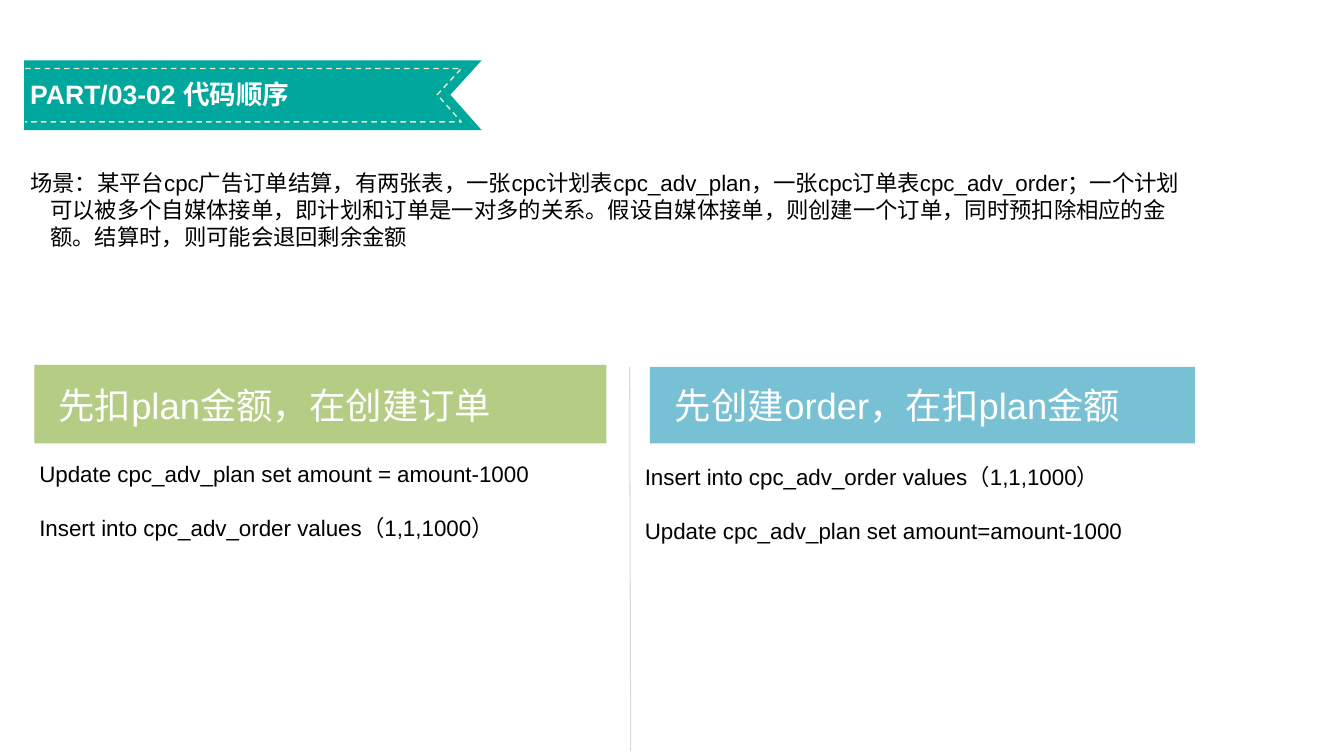
from lxml import etree
from pptx import Presentation
from pptx.dml.color import RGBColor
from pptx.enum.dml import MSO_LINE
from pptx.enum.shapes import MSO_CONNECTOR, MSO_SHAPE
from pptx.oxml.ns import qn
from pptx.util import Inches, Pt

DASH = MSO_LINE.DASH
STRAIGHT = MSO_CONNECTOR.STRAIGHT
RECTANGLE = MSO_SHAPE.RECTANGLE

COLORS = {
    "ribbon": "00A79D", "stitch": "EDE8C7", "divider": "D9D9D9",
    "green": "B4CC83", "blue": "78C1D4", "white": "FFFFFF", "black": "000000",
}
FONT = "Arial"
HANGING = 0.2

TITLE = "PART/03-02 代码顺序"
SCENARIO = (
    "场景：某平台cpc广告订单结算，有两张表，一张cpc计划表cpc_adv_plan，"
    "一张cpc订单表cpc_adv_order；一个计划可以被多个自媒体接单，"
    "即计划和订单是一对多的关系。假设自媒体接单，则创建一个订单，"
    "同时预扣除相应的金额。结算时，则可能会退回剩余金额"
)
# Boxes are left, top, width, height in inches.
COLUMNS = [
    {
        "heading": "先扣plan金额，在创建订单", "color": "green",
        "banner": (0.34, 3.62, 5.68, 0.78), "heading_box": (0.53, 3.75, 4.8, 0.54),
        "code": ["Update cpc_adv_plan set amount = amount-1000",
                 "Insert into cpc_adv_order values（1,1,1000）"],
        "code_box": (0.34, 4.52, 5.92, 0.9),
    },
    {
        "heading": "先创建order，在扣plan金额", "color": "blue",
        "banner": (6.45, 3.64, 5.41, 0.76), "heading_box": (6.65, 3.75, 5.13, 0.54),
        "code": ["Insert into cpc_adv_order values（1,1,1000）",
                 "Update cpc_adv_plan set amount=amount-1000"],
        "code_box": (6.35, 4.55, 6.35, 0.9),
    },
]
RIBBON = [(4.78, 1.29), (0.24, 1.29), (0.24, 0.6), (4.78, 0.6), (4.47, 0.94)]
STITCH = [(0.25, 0.68), (4.58, 0.68), (4.34, 0.94), (4.58, 1.21), (0.25, 1.21)]


def rgb(name):
    return RGBColor.from_string(COLORS[name])


def add_text(page, lines, area, size=16, color="black", bold=False, hanging=0, gap=0):
    box = page.shapes.add_textbox(*map(Inches, area))
    frame = box.text_frame
    frame.word_wrap = True
    frame.margin_left = frame.margin_right = Inches(0.05)
    frame.margin_top = frame.margin_bottom = Inches(0.05)
    for index, line in enumerate(lines):
        para = frame.paragraphs[0] if index == 0 else frame.add_paragraph()
        if index:
            para.space_before = Pt(gap)
        if hanging:
            properties = para._p.get_or_add_pPr()
            properties.set("marL", str(Inches(hanging)))
            properties.set("indent", str(-Inches(hanging)))
        span = para.add_run()
        span.text = line
        span.font.name = FONT
        span.font.size = Pt(size)
        span.font.bold = bold
        span.font.color.rgb = rgb(color)


def add_outline(page, points, close):
    corners = [(Inches(x), Inches(y)) for x, y in points]
    builder = page.shapes.build_freeform(*corners[0])
    builder.add_line_segments(corners[1:], close=close)
    outline = builder.convert_to_shape()
    outline.shadow.inherit = False
    return outline


def fill_plain(shape, color):
    shape.fill.solid()
    shape.fill.fore_color.rgb = rgb(color)
    shape.line.fill.background()


def add_ribbon(page):
    fill_plain(add_outline(page, RIBBON, close=True), "ribbon")
    stitch = add_outline(page, STITCH, close=False)
    stitch.fill.background()
    stitch.line.color.rgb = rgb("stitch")
    stitch.line.width = Pt(1)
    stitch.line.dash_style = DASH


def add_divider(page):
    ends = map(Inches, (6.25, 3.64, 6.26, 7.45))
    divider = page.shapes.add_connector(STRAIGHT, *ends)
    divider.line.color.rgb = rgb("divider")
    divider.line.width = Pt(0.75)
    etree.SubElement(divider._element.spPr, qn("a:effectLst"))


def add_column(page, column):
    banner = page.shapes.add_shape(RECTANGLE, *map(Inches, column["banner"]))
    banner.shadow.inherit = False
    fill_plain(banner, column["color"])
    add_text(page, [column["heading"]], column["heading_box"], size=26, color="white")
    add_text(page, column["code"], column["code_box"], hanging=HANGING, gap=19)


def main():
    deck = Presentation()
    deck.slide_width, deck.slide_height = Inches(13.34), Inches(7.5)
    page = deck.slides.add_slide(deck.slide_layouts[6])
    add_ribbon(page)
    add_text(page, [TITLE], (0.25, 0.72, 4.41, 0.46), size=19, color="white", bold=True)
    add_divider(page)
    add_text(page, [SCENARIO], (0.25, 1.63, 11.53, 0.9), hanging=HANGING)
    for column in COLUMNS:
        add_column(page, column)
    deck.save("out.pptx")


if __name__ == "__main__":
    main()
